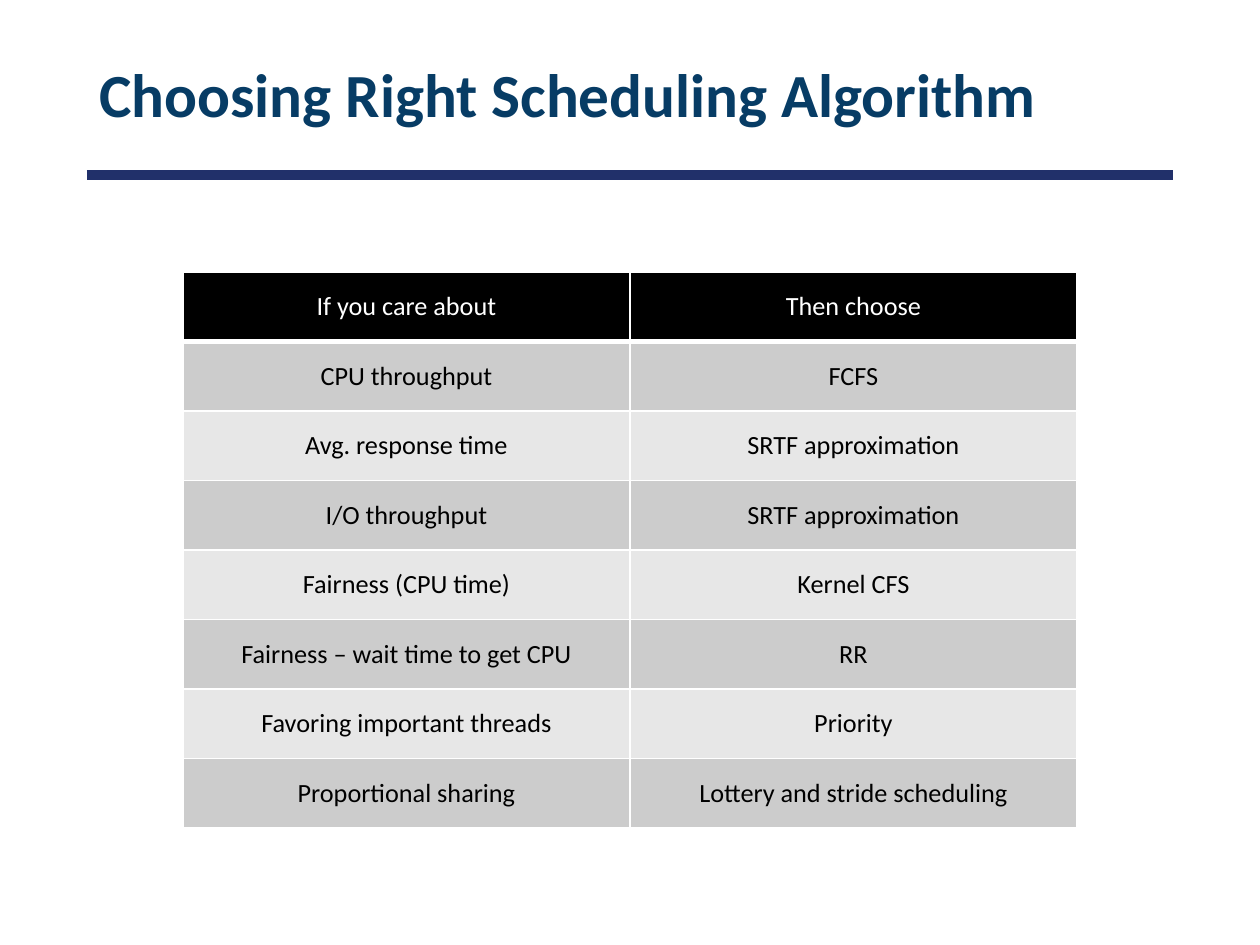
from typing import NamedTuple

from lxml import etree
from pptx import Presentation
from pptx.dml.color import RGBColor
from pptx.enum.shapes import MSO_CONNECTOR
from pptx.enum.text import MSO_ANCHOR, PP_ALIGN
from pptx.oxml.ns import qn
from pptx.util import Pt

PIXELS_PER_INCH = 126
EMU_PER_PIXEL = 914400 / PIXELS_PER_INCH
FONT = "Calibri"
STRAIGHT = MSO_CONNECTOR.STRAIGHT
MIDDLE = MSO_ANCHOR.MIDDLE
LEFT, CENTER = PP_ALIGN.LEFT, PP_ALIGN.CENTER

WHITE, BLACK = "FFFFFF", "000000"
TITLE_BLUE, RULE_BLUE = "073C65", "21306A"
BAND_FILLS = ("CCCCCC", "E7E7E7")


class Box(NamedTuple):
    left: int
    top: int
    width: int
    height: int


class Choice(NamedTuple):
    concern: str
    scheduler: str


class TextStyle(NamedTuple):
    size: int
    color: str
    bold: bool = False
    alignment: int = CENTER


HEADER = Choice("If you care about", "Then choose")
CHOICES = [
    Choice("CPU throughput", "FCFS"),
    Choice("Avg. response time", "SRTF approximation"),
    Choice("I/O throughput", "SRTF approximation"),
    Choice("Fairness (CPU time)", "Kernel CFS"),
    Choice("Fairness – wait time to get CPU", "RR"),
    Choice("Favoring important threads", "Priority"),
    Choice("Proportional sharing", "Lottery and stride scheduling"),
]


def px(length: int) -> int:
    return round(length * EMU_PER_PIXEL)


def rgb(color: str) -> RGBColor:
    return RGBColor.from_string(color)


def write_text(text_frame, text: str, style: TextStyle) -> None:
    paragraph = text_frame.paragraphs[0]
    paragraph.alignment = style.alignment
    run = paragraph.add_run()
    run.text = text
    run.font.name = FONT
    run.font.size = Pt(style.size)
    run.font.bold = style.bold
    run.font.color.rgb = rgb(style.color)


def add_title(slide, box: Box, text: str) -> None:
    shape = slide.shapes.add_textbox(*map(px, box))
    text_frame = shape.text_frame
    text_frame.word_wrap = True
    text_frame.vertical_anchor = MIDDLE
    write_text(text_frame, text, TextStyle(35, TITLE_BLUE, True, LEFT))
    text_frame.paragraphs[0].line_spacing = 0.9


def add_rule(slide, left: int, right: int, y: int) -> None:
    connector = slide.shapes.add_connector(STRAIGHT, px(left), px(y), px(right), px(y))
    connector.line.color.rgb = rgb(RULE_BLUE)
    connector.line.width = Pt(6)
    etree.SubElement(connector._element.spPr, qn("a:effectLst"))


def set_borders(cell, widths: dict[str, int]) -> None:
    properties = cell._tc.get_or_add_tcPr()
    for side, width in widths.items():
        line = etree.SubElement(properties, qn(f"a:ln{side}"), w=str(Pt(width)))
        fill = etree.SubElement(line, qn("a:solidFill"))
        etree.SubElement(fill, qn("a:srgbClr"), val=WHITE)


def add_choice_table(slide, box: Box, rows: list[Choice]) -> None:
    table = slide.shapes.add_table(len(rows), len(HEADER), *map(px, box)).table
    for row_index, row in enumerate(rows):
        is_header = row_index == 0
        fill = BLACK if is_header else BAND_FILLS[(row_index - 1) % 2]
        style = TextStyle(15, WHITE if is_header else BLACK)
        widths = {
            "L": 1,
            "R": 1,
            "T": 3 if row_index == 1 else 1,
            "B": 3 if is_header else 1,
        }
        for column_index, text in enumerate(row):
            cell = table.cell(row_index, column_index)
            cell.vertical_anchor = MIDDLE
            set_borders(cell, widths)
            cell.fill.solid()
            cell.fill.fore_color.rgb = rgb(fill)
            write_text(cell.text_frame, text, style)


def main() -> None:
    presentation = Presentation()
    presentation.slide_width = px(1260)
    presentation.slide_height = px(945)
    slide = presentation.slides.add_slide(presentation.slide_layouts[6])

    # Heading and the rule below it
    add_rule(slide, 87, 1173, 175)
    add_title(slide, Box(87, 30, 1086, 136), "Choosing Right Scheduling Algorithm")

    # Scheduler to pick for each concern
    add_choice_table(slide, Box(183, 272, 894, 556), [HEADER, *CHOICES])

    presentation.save("out.pptx")


if __name__ == "__main__":
    main()
